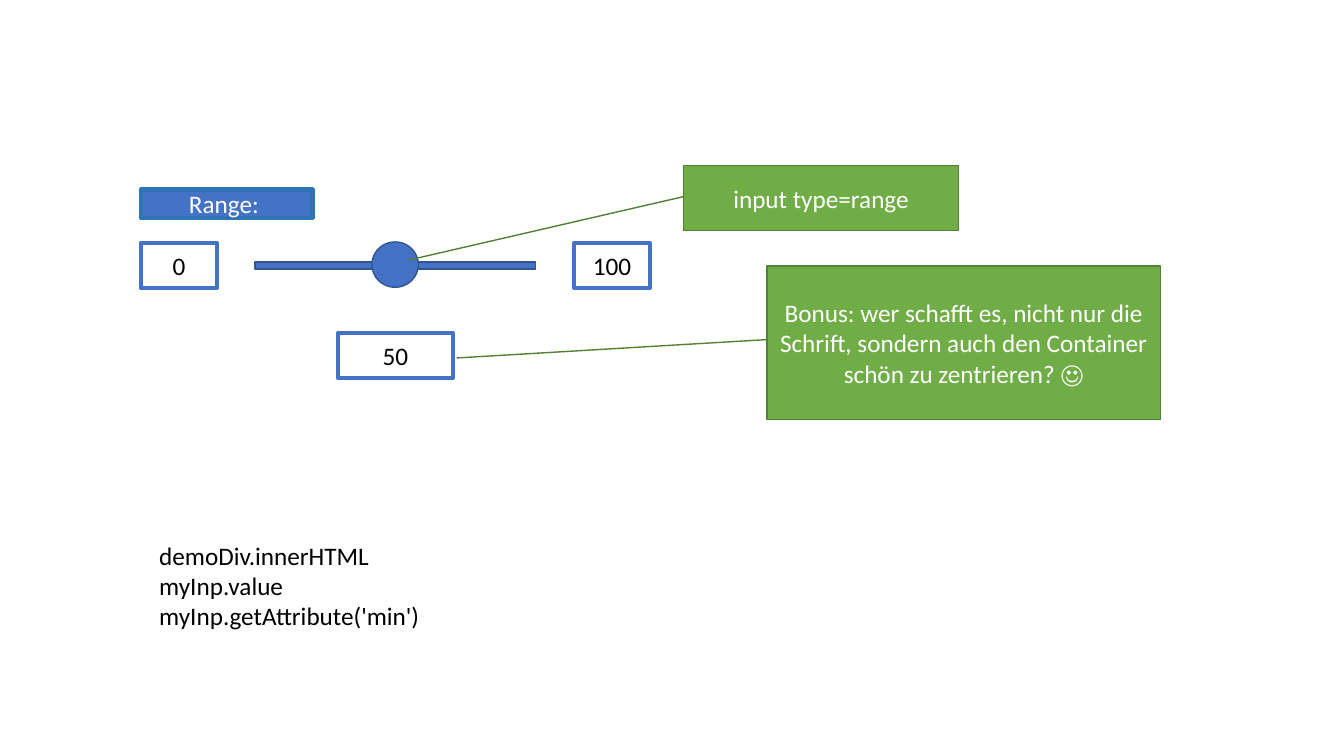
import pptx
import pptx.util
import pptx.dml.color
import pptx.enum.shapes
import pptx.enum.text

Pt = pptx.util.Pt
RGB = pptx.dml.color.RGBColor
SHAPE = pptx.enum.shapes.MSO_SHAPE
ALIGN = pptx.enum.text.PP_ALIGN
WHITE = RGB(0xFF, 0xFF, 0xFF)
BLACK = RGB(0x00, 0x00, 0x00)
BLUE = RGB(0x44, 0x72, 0xC4)
NAVY = RGB(0x32, 0x54, 0x91)
TEAL = RGB(0x2E, 0x75, 0xB6)
GREEN = RGB(0x70, 0xAD, 0x47)
DARK_GREEN = RGB(0x53, 0x80, 0x35)


def write(sp, lines, color, align):
    tf = sp.text_frame
    tf.word_wrap = True
    for i, line in enumerate(lines):
        p = tf.paragraphs[0] if i == 0 else tf.add_paragraph()
        p.alignment = align
        r = p.add_run()
        r.text = line
        for name, value in {"name": "Calibri", "size": Pt(18)}.items():
            setattr(r.font, name, value)
        r.font.color.rgb = color


def add_shape(s, kind, box, style, text=None, adjustments=()):
    fill, line, width, color = style
    sp = s.shapes.add_shape(kind, *[Pt(v) for v in box])
    sp.shadow.inherit = False
    sp.fill.solid()
    sp.fill.fore_color.rgb = fill
    sp.line.color.rgb = line
    sp.line.width = Pt(width)
    for i, value in enumerate(adjustments):
        sp.adjustments[i] = value
    if text:
        sp.text_frame.vertical_anchor = pptx.enum.text.MSO_ANCHOR.MIDDLE
        write(sp, [text], color, ALIGN.CENTER)


prs = pptx.Presentation()
prs.slide_width, prs.slide_height = Pt(960), Pt(540)
s = prs.slides.add_slide(prs.slide_layouts[6])

label = (BLUE, TEAL, 3, WHITE)
slider = (BLUE, NAVY, 1, WHITE)
value_box = (WHITE, BLUE, 3, BLACK)
callout = (GREEN, DARK_GREEN, 1, WHITE)

add_shape(s, SHAPE.RECTANGLE, (100.8, 135.4, 122.4, 20.2), label, "Range: ")
add_shape(s, SHAPE.RECTANGLE, (182.2, 187.2, 200.2, 5), slider)
add_shape(s, SHAPE.OVAL, (265.7, 172.8, 33.1, 32.4), slider)

for text, left, top, width in [("0", 100.8, 173.5, 54),
                               ("100", 410.2, 173.5, 54),
                               ("50", 241.4, 237.8, 82)]:
    add_shape(s, SHAPE.RECTANGLE, (left, top, width, 32.4), value_box, text)

bonus = ("Bonus: wer schafft es, nicht nur die Schrift, sondern auch "
         "den Container schön zu zentrieren? ☺")
for text, box, tip in [("input type=range", (488.2, 118, 196.6, 46.8), (1.45, -1)),
                       (bonus, (548, 190, 280.8, 109.5), (0.6, -0.79))]:
    add_shape(s, SHAPE.LINE_CALLOUT_1, box, callout, text, (0.48, 0, *tip))

code = s.shapes.add_textbox(Pt(106.6), Pt(382.3), Pt(310.3), Pt(72.7))
write(code, ["demoDiv.innerHTML", "myInp.value", "myInp.getAttribute('min')"],
      BLACK, ALIGN.LEFT)
code.text_frame.auto_size = pptx.enum.text.MSO_AUTO_SIZE.SHAPE_TO_FIT_TEXT

prs.save("out.pptx")
